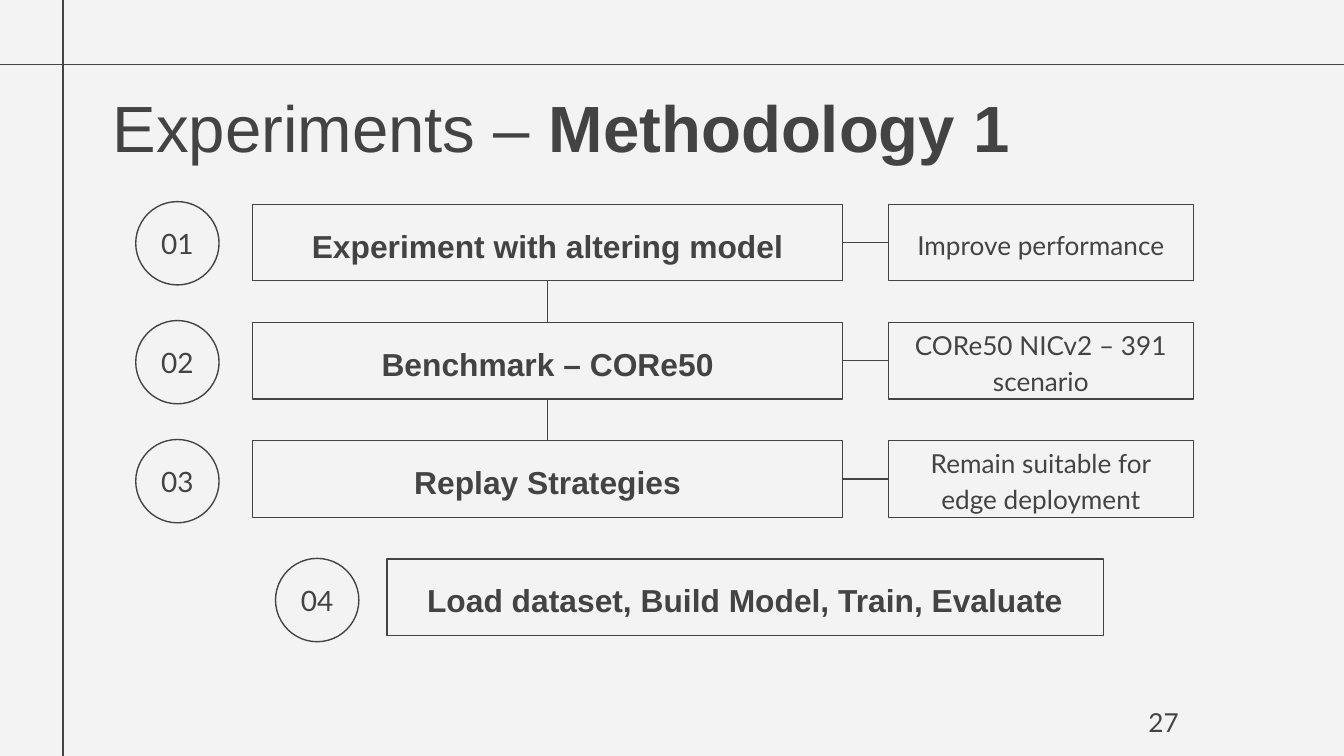
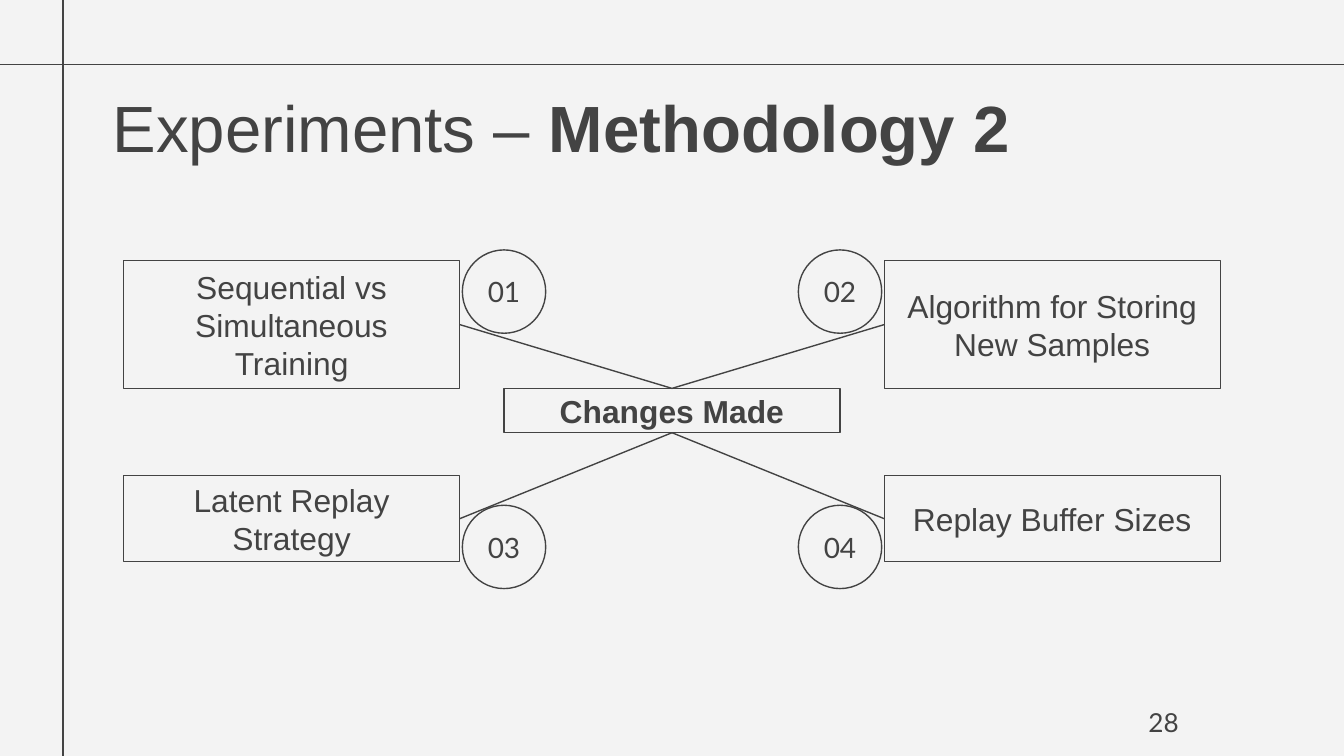
import pptx
import pptx.util
import pptx.dml.color
import pptx.enum.shapes
import pptx.enum.text
import pptx.oxml.ns
from lxml import etree

Inches, Pt = pptx.util.Inches, pptx.util.Pt
RGBColor = pptx.dml.color.RGBColor
SHAPE = pptx.enum.shapes.MSO_SHAPE
ALIGN = pptx.enum.text.PP_ALIGN
ANCHOR = pptx.enum.text.MSO_ANCHOR

INK = RGBColor(0x43, 0x43, 0x43)
PAPER = RGBColor(0xF3, 0xF3, 0xF3)
W, H = 10, 10 * 9 / 16
RULE_X, RULE_Y = 0.47, 0.48
TOP, BOTTOM, LEFT, RIGHT = 0, 2, 1, 3

TITLE = {"name": "Arial", "size": Pt(35)}
STRONG = {"name": "Arial", "size": Pt(17), "bold": True}
PLAIN = {"name": "Arial", "size": Pt(17)}
DETAIL = {"name": "Lato", "size": Pt(14)}
NUMBER = {"name": "Lato", "size": Pt(15)}

STEPS = [
    ("Experiment with altering model", "Improve performance"),
    ("Benchmark – CORe50", "CORe50 NICv2 – 391 scenario"),
    ("Replay Strategies", "Remain suitable for edge deployment"),
]
LAST_STEP = "Load dataset, Build Model, Train, Evaluate"

HUB = "Changes Made"
CHANGES = [
    ["Sequential vs Simultaneous Training", "Algorithm for Storing New Samples"],
    ["Latent Replay Strategy", "Replay Buffer Sizes"],
]

STEP_Y, STEP_PITCH, STEP_H = 1.52, 0.88, 0.57
STEP_X, STEP_W, DETAIL_X, DETAIL_W = 1.88, 4.39, 6.61, 2.27
DISC = 0.62
DISC_X, DISC_Y, DISC_PITCH = 1.01, 1.5, 0.885
CARD_W = W / 4
CARD_X = [0.92, W - 0.92 - CARD_W]
CARD_ROWS = [(1.94, 0.95, 1.86, TOP), (3.54, 0.64, 3.76, BOTTOM)]
CARD_DISC_X = [3.44, W - 3.44 - DISC]


def write(tf, runs, align, spacing=None, inset=0.1):
    tf.word_wrap = True
    for side in ("left", "top", "right", "bottom"):
        setattr(tf, "margin_" + side, Inches(inset))
    p = tf.paragraphs[0]
    p.alignment = align
    if spacing:
        p.line_spacing = spacing
    for text, style in runs:
        r = p.add_run()
        r.text = text
        r.font.color.rgb = INK
        for key, value in style.items():
            setattr(r.font, key, value)


def add_text(slide, box, runs, align):
    sp = slide.shapes.add_textbox(*map(Inches, box))
    write(sp.text_frame, runs, align)


def add_box(slide, box, text, style, kind=SHAPE.RECTANGLE, **layout):
    sp = slide.shapes.add_shape(kind, *map(Inches, box))
    sp.shadow.inherit = False
    sp.fill.background()
    sp.line.color.rgb = INK
    sp.line.width = Pt(0.75)
    sp.text_frame.vertical_anchor = ANCHOR.MIDDLE
    write(sp.text_frame, [(text, style)], ALIGN.CENTER, **layout)
    return sp


def add_disc(slide, x, y, number):
    add_box(slide, (x, y, DISC, DISC), f"{number:02d}", NUMBER, SHAPE.OVAL, inset=0)


def add_line(slide, x1=0, y1=0, x2=0, y2=0):
    cx = slide.shapes.add_connector(
        pptx.enum.shapes.MSO_CONNECTOR.STRAIGHT, *map(Inches, (x1, y1, x2, y2)))
    cx.line.color.rgb = INK
    cx.line.width = Pt(0.75)
    etree.SubElement(cx._element.spPr, pptx.oxml.ns.qn("a:effectLst"))
    return cx


def join(slide, start, start_side, end, end_side):
    cx = add_line(slide)
    cx.begin_connect(start, start_side)
    cx.end_connect(end, end_side)


def add_slide(prs, topic, page):
    slide = prs.slides.add_slide(prs.slide_layouts[6])
    slide.background.fill.solid()
    slide.background.fill.fore_color.rgb = PAPER
    add_line(slide, 0, RULE_Y, W, RULE_Y)
    add_line(slide, RULE_X, 0, RULE_X, H)
    add_text(slide, (0.74, 0.55, 8.67, 0.53),
             [("Experiments – ", TITLE), (topic, {**TITLE, "bold": True})], ALIGN.LEFT)
    add_text(slide, (8.27, 5.16, 0.6, 0.43), [(str(page), DETAIL)], ALIGN.RIGHT)
    return slide


def build_steps(prs):
    slide = add_slide(prs, "Methodology 1", 27)
    above = None
    for i, (step, detail) in enumerate(STEPS):
        y = STEP_Y + i * STEP_PITCH
        box = add_box(slide, (STEP_X, y, STEP_W, STEP_H), step, STRONG, spacing=1.15)
        side = add_box(slide, (DETAIL_X, y, DETAIL_W, STEP_H), detail, DETAIL, spacing=1.15)
        add_disc(slide, DISC_X, DISC_Y + i * DISC_PITCH, i + 1)
        join(slide, side, LEFT, box, RIGHT)
        if above:
            join(slide, above, BOTTOM, box, TOP)
        above = box
    n = len(STEPS)
    add_box(slide, (2.88, STEP_Y + n * STEP_PITCH, 5.33, STEP_H), LAST_STEP, STRONG, spacing=1.15)
    add_disc(slide, 2.05, DISC_Y + n * DISC_PITCH, n + 1)


def build_changes(prs):
    slide = add_slide(prs, "Methodology 2", 28)
    hub = add_box(slide, ((W - CARD_W) / 2, 2.89, CARD_W, 0.33), HUB, STRONG)
    for row, (y, h, disc_y, hub_side) in enumerate(CARD_ROWS):
        for col, inner_side in enumerate((RIGHT, LEFT)):
            card = add_box(slide, (CARD_X[col], y, CARD_W, h), CHANGES[row][col], PLAIN)
            add_disc(slide, CARD_DISC_X[col], disc_y, 2 * row + col + 1)
            join(slide, hub, hub_side, card, inner_side)


def main():
    prs = pptx.Presentation()
    prs.slide_width, prs.slide_height = Inches(W), Inches(H)
    build_steps(prs)
    build_changes(prs)
    prs.save("out.pptx")


if __name__ == "__main__":
    main()
